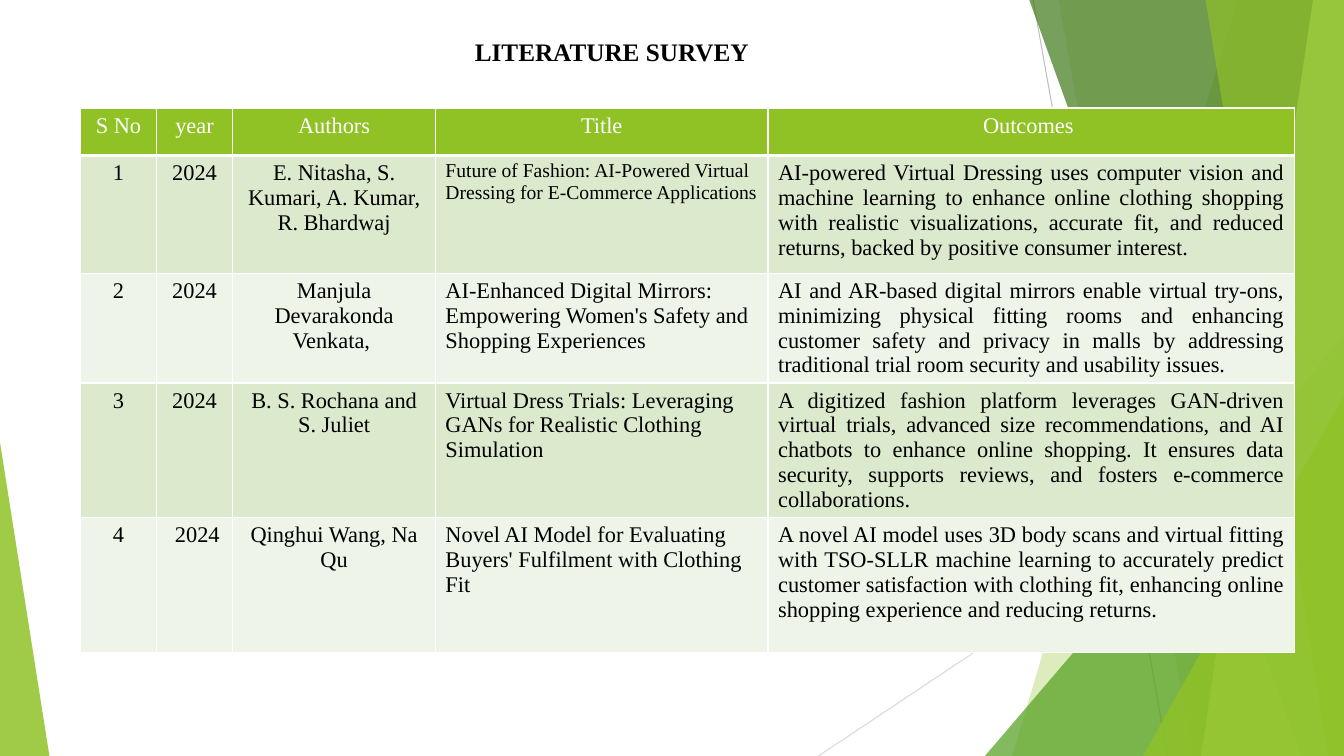
from lxml.etree import SubElement
from pptx import Presentation
from pptx.dml.color import RGBColor
from pptx.enum.shapes import MSO_CONNECTOR, MSO_SHAPE
from pptx.enum.text import MSO_ANCHOR, MSO_AUTO_SIZE, PP_ALIGN
from pptx.oxml.ns import qn
from pptx.util import Pt

FONT = "Times New Roman"
GREEN = "90C226"
WHITE = "FFFFFF"
BLACK = "000000"
BAND_COLORS = ["DBE9CD", "EEF4E8"]
WIDTH, HEIGHT = 960, 540
BAND_TOP = -0.72

COLUMN_WIDTHS = [54, 54.72, 144.72, 237.6, 375.84]
ROW_HEIGHTS = [33.84, 84.24, 78.4, 95.8, 96.4]
HEADER_ALIGNMENTS = [PP_ALIGN.CENTER] * 5
BODY_ALIGNMENTS = [PP_ALIGN.CENTER] * 3 + [PP_ALIGN.LEFT, PP_ALIGN.JUSTIFY]
SMALL_TITLE_CELL = (1, 3)
SURVEY = [
    ["S No", "year", "Authors", "Title", "Outcomes "],
    ["1", "2024", "E. Nitasha, S. Kumari, A. Kumar, R. Bhardwaj",
     "Future of Fashion: AI-Powered Virtual Dressing for E-Commerce Applications",
     "AI-powered Virtual Dressing uses computer vision and machine learning to enhance "
     "online clothing shopping with realistic visualizations, accurate fit, and reduced "
     "returns, backed by positive consumer interest."],
    ["2", "2024", "Manjula Devarakonda Venkata, ",
     "AI-Enhanced Digital Mirrors: Empowering Women's Safety and Shopping Experiences",
     "AI and AR-based digital mirrors enable virtual try-ons, minimizing physical fitting "
     "rooms and enhancing customer safety and privacy in malls by addressing traditional "
     "trial room security and usability issues."],
    ["3", "2024", "B. S. Rochana and S. Juliet",
     "Virtual Dress Trials: Leveraging GANs for Realistic Clothing Simulation",
     "A digitized fashion platform leverages GAN-driven virtual trials, advanced size "
     "recommendations, and AI chatbots to enhance online shopping. It ensures data "
     "security, supports reviews, and fosters e-commerce collaborations."],
    ["4", " 2024", "Qinghui Wang, Na Qu",
     "Novel AI Model for Evaluating Buyers' Fulfilment with Clothing Fit",
     "A novel AI model uses 3D body scans and virtual fitting with TSO-SLLR machine "
     "learning to accurately predict customer satisfaction with clothing fit, enhancing "
     "online shopping experience and reducing returns."],
]


def rgb(color):
    return RGBColor.from_string(color)


def paint(shape, color, opacity):
    shape.shadow.inherit = False
    shape.line.fill.background()
    shape.fill.solid()
    shape.fill.fore_color.rgb = rgb(color)
    color_element = shape.fill._xPr.find(qn("a:solidFill"))[0]
    SubElement(color_element, qn("a:alpha"), val=str(opacity * 1000))


def add_line(slide, start, end, color):
    points = [Pt(value) for value in (*start, *end)]
    connector = slide.shapes.add_connector(MSO_CONNECTOR.STRAIGHT, *points)
    connector.line.color.rgb = rgb(color)
    connector.line.width = Pt(0.75)
    SubElement(connector._element.spPr, qn("a:effectLst"))


def add_band(slide, top_left, bottom_left, color, opacity):
    corners = [(top_left, BAND_TOP), (WIDTH, BAND_TOP), (WIDTH, HEIGHT), (bottom_left, HEIGHT)]
    start, *others = [(Pt(x), Pt(y)) for x, y in corners]
    builder = slide.shapes.build_freeform(*start)
    builder.add_line_segments(others)
    paint(builder.convert_to_shape(), color, opacity)


def add_triangle(slide, left, top, width, apex, color, opacity):
    shape = slide.shapes.add_shape(
        MSO_SHAPE.ISOSCELES_TRIANGLE, Pt(left), Pt(top), Pt(width), Pt(HEIGHT - top))
    shape.adjustments[0] = apex
    paint(shape, color, opacity)


def add_decoration(slide):
    add_line(slide, (738, 0), (834, HEIGHT), "BFBFBF")
    add_line(slide, (WIDTH, 290), (584.6, HEIGHT), "D9D9D9")
    add_band(slide, 884, 723, GREEN, 30)
    add_band(slide, 756, 852, GREEN, 20)
    add_triangle(slide, 703.5, 240, 256.5, 1, "54A021", 72)
    add_band(slide, 735, 929.5, "3F7819", 70)
    add_band(slide, 938, 858, "C0E474", 70)
    add_band(slide, 861, 949, GREEN, 65)
    add_triangle(slide, 816.5, 283, 143.5, 1, GREEN, 80)
    add_triangle(slide, 0, 316, 35.3, 0, GREEN, 85)


def format_text(text_frame, size, color, alignment, bold=False):
    for paragraph in text_frame.paragraphs:
        paragraph.alignment = alignment
        for run in paragraph.runs:
            run.font.name = FONT
            run.font.size = Pt(size)
            run.font.bold = bold
            run.font.color.rgb = rgb(color)


def set_title(slide, text):
    title = slide.shapes.title
    title.left, title.top, title.width, title.height = Pt(332), Pt(22.4), Pt(480), Pt(29)
    frame = title.text_frame
    frame.text = text
    frame.word_wrap = True
    frame.auto_size = MSO_AUTO_SIZE.NONE
    frame.vertical_anchor = MSO_ANCHOR.TOP
    format_text(frame, 18, BLACK, PP_ALIGN.LEFT, bold=True)


def set_borders(cell, bottom_width):
    properties = cell._tc.get_or_add_tcPr()
    for side, width in (("L", 1), ("R", 1), ("T", 1), ("B", bottom_width)):
        line = SubElement(properties, qn(f"a:ln{side}"), w=str(Pt(width)))
        SubElement(SubElement(line, qn("a:solidFill")), qn("a:srgbClr"), val=WHITE)


def fill_cell(cell, text, size, color, fill, alignment, bottom_width):
    cell.text_frame.text = text
    format_text(cell.text_frame, size, color, alignment)
    set_borders(cell, bottom_width)
    cell.fill.solid()
    cell.fill.fore_color.rgb = rgb(fill)


def add_survey_table(slide):
    table = slide.shapes.add_table(
        len(SURVEY), len(COLUMN_WIDTHS), Pt(57.6), Pt(77.2),
        Pt(sum(COLUMN_WIDTHS)), Pt(sum(ROW_HEIGHTS))).table
    table.horz_banding = False
    for column, width in zip(table.columns, COLUMN_WIDTHS):
        column.width = Pt(width)
    for row, height in zip(table.rows, ROW_HEIGHTS):
        row.height = Pt(height)
    for row_index, texts in enumerate(SURVEY):
        is_header = row_index == 0
        color = WHITE if is_header else BLACK
        fill = GREEN if is_header else BAND_COLORS[(row_index - 1) % 2]
        alignments = HEADER_ALIGNMENTS if is_header else BODY_ALIGNMENTS
        for column_index, text in enumerate(texts):
            size = 14 if (row_index, column_index) == SMALL_TITLE_CELL else 16
            fill_cell(table.cell(row_index, column_index), text, size, color, fill,
                      alignments[column_index], 3 if is_header else 1)


def main():
    presentation = Presentation()
    presentation.slide_width = Pt(WIDTH)
    presentation.slide_height = Pt(HEIGHT)
    slide = presentation.slides.add_slide(presentation.slide_layouts[5])
    add_decoration(slide)
    add_survey_table(slide)
    set_title(slide, "LITERATURE SURVEY")
    presentation.save("out.pptx")


if __name__ == "__main__":
    main()
